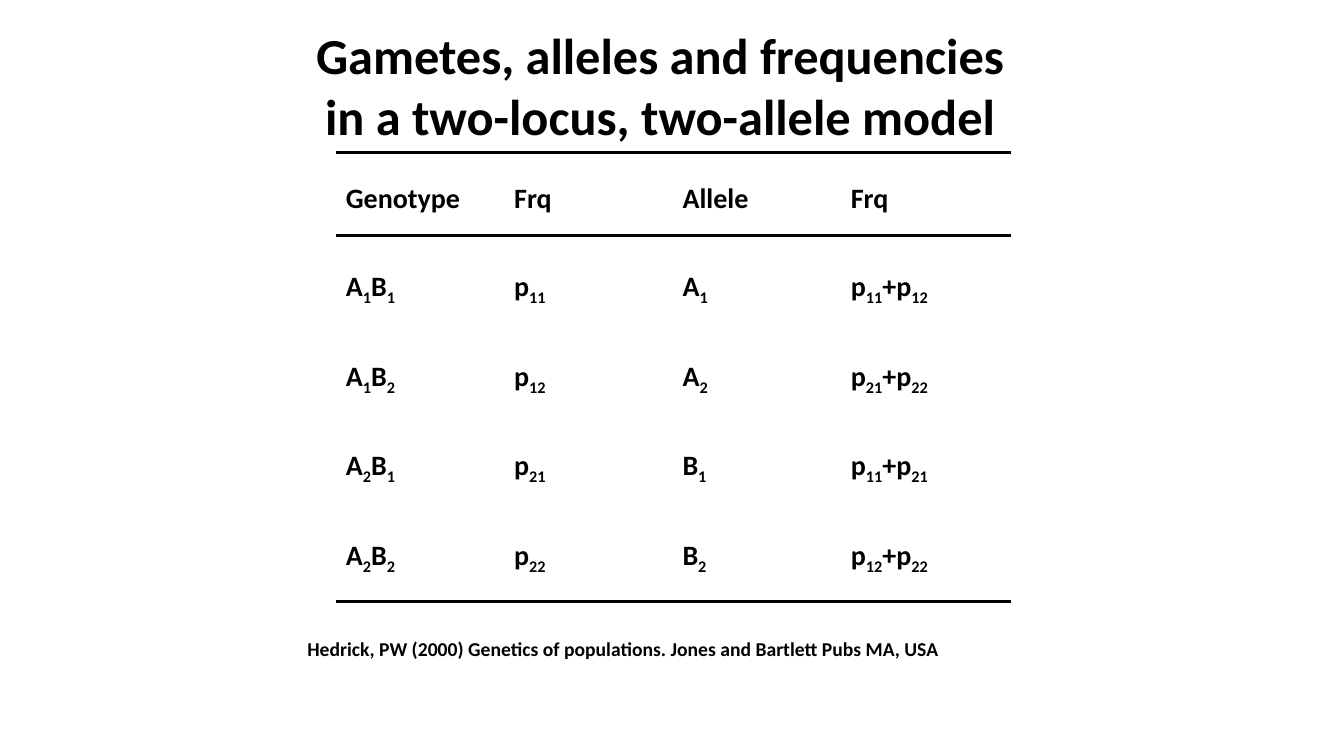
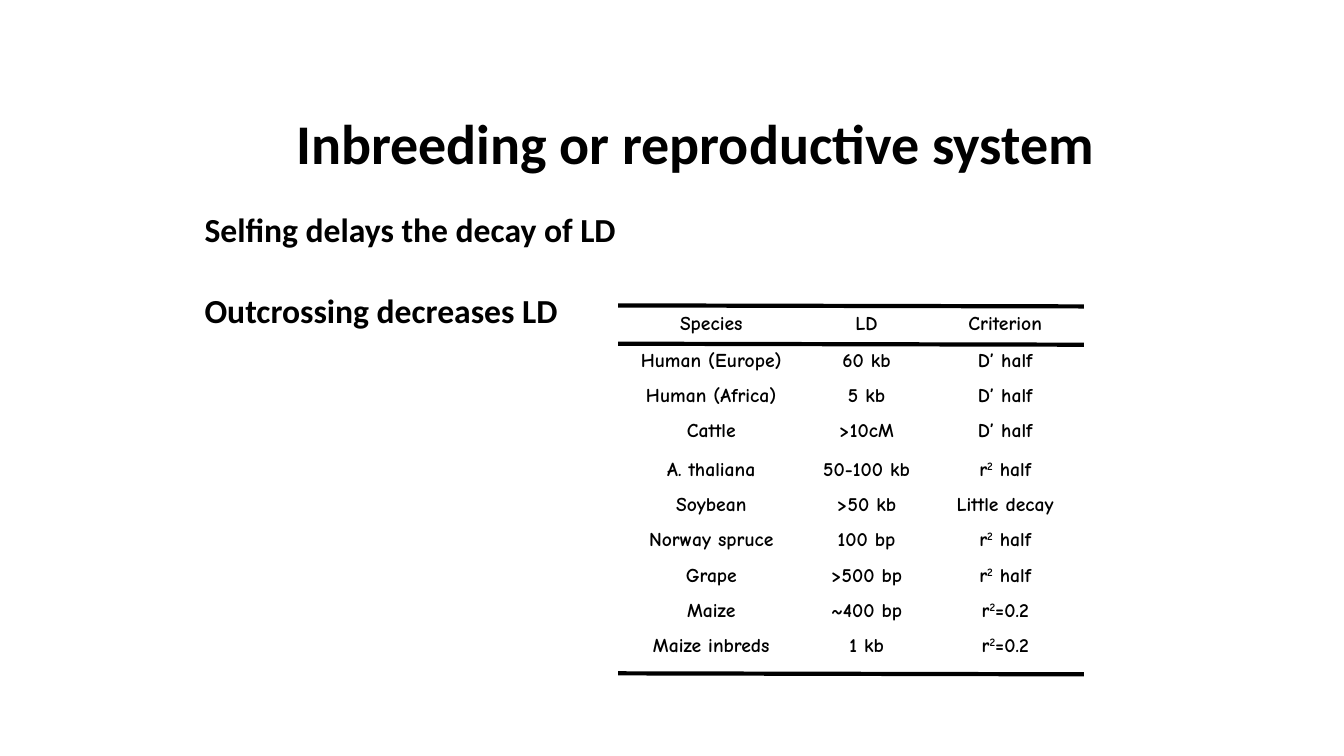
"""Build two slides on allele frequencies and linkage disequilibrium."""
from collections import namedtuple
from dataclasses import dataclass

from lxml import etree
from pptx import Presentation
from pptx.dml.color import RGBColor
from pptx.enum.shapes import MSO_CONNECTOR
from pptx.enum.text import MSO_ANCHOR, PP_ALIGN
from pptx.oxml.ns import qn
from pptx.util import Pt

LEFT, CENTER = PP_ALIGN.LEFT, PP_ALIGN.CENTER
TOP, MIDDLE = MSO_ANCHOR.TOP, MSO_ANCHOR.MIDDLE
STRAIGHT = MSO_CONNECTOR.STRAIGHT
PX = 9144


@dataclass(frozen=True)
class Theme:
    ink: RGBColor = RGBColor(0, 0, 0)
    font: str = "Calibri"
    table_font: str = "Comic Neue"
    title: int = 36
    big_title: int = 40
    body: int = 24
    cell: int = 20
    small: int = 14
    body_gap: int = 29


THEME = Theme()
Text = namedtuple("Text", "box size align lines gap")
Grid = namedtuple("Grid", "left top cols heights rows font size align anchor shift")
Rules = namedtuple("Rules", "left right tops drop weight")


def add_runs(p, text, size, font, align, shift=0):
    """Add bold runs, shifting every second part between bars."""
    p.alignment = align
    for i, part in enumerate(text.split("|")):
        if not part:
            continue
        r = p.add_run()
        r.text = part
        r.font.size, r.font.bold, r.font.name = Pt(size), True, font
        r.font.color.rgb = THEME.ink
        if i % 2:
            r._r.get_or_add_rPr().set("baseline", str(shift * 1000))


gametes = [
    ["Genotype", "Frq", "Allele", "Frq"],
    ["A|1|B|1", "p|11", "A|1", "p|11|+p|12"],
    ["A|1|B|2", "p|12", "A|2", "p|21|+p|22"],
    ["A|2|B|1", "p|21", "B|1", "p|11|+p|21"],
    ["A|2|B|2", "p|22", "B|2", "p|12|+p|22"],
]
decay = [
    ["Species", "LD", "Criterion"],
    ["Human (Europe)", "60 kb", "D’ half"],
    ["Human (Africa)", "5 kb", "D’ half"],
    ["Cattle", ">10cM", "D’ half"],
    ["A. thaliana", "50-100 kb", "r|2| half"],
    ["Soybean", ">50 kb", "Little decay"],
    ["Norway spruce", "100 bp", "r|2| half"],
    ["Grape", ">500 bp", "r|2| half"],
    ["Maize", "~400 bp", "r|2|=0.2"],
    ["Maize inbreds", "1 kb", "r|2|=0.2"],
]

slides = [
    (
        [
            Text((300, 19, 710, 131), THEME.title, CENTER,
                 ["Gametes, alleles and frequencies",
                  "in a two-locus, two-allele model"], 0),
            Text((295, 627, 652, 34), THEME.small, LEFT,
                 ["Hedrick, PW (2000) Genetics of populations. "
                  "Jones and Bartlett Pubs MA, USA"], 0),
        ],
        Grid(333, 153, [167] * 4, [89] * 5, gametes,
             THEME.font, THEME.cell, LEFT, MIDDLE, -25),
        Rules(333, 1003, [151, 234, 597], 0, 2),
    ),
    (
        [
            Text((284, 103, 821, 77), THEME.big_title, LEFT,
                 ["Inbreeding or reproductive system"], 0),
            Text((193, 202, 432, 182), THEME.body, LEFT,
                 ["Selfing delays the decay of LD",
                  "Outcrossing decreases LD"], THEME.body_gap),
        ],
        Grid(614, 305, [183, 125, 150], [37, 35, 35, 38] + [35] * 6, decay,
             THEME.table_font, THEME.small, CENTER, TOP, 30),
        Rules(613, 1075, [303, 341, 668], 1, 3),
    ),
]

prs = Presentation()
prs.slide_width, prs.slide_height = 1333 * PX, 750 * PX

for texts, grid, rules in slides:
    s = prs.slides.add_slide(prs.slide_layouts[6])

    for text in texts:
        sp = s.shapes.add_textbox(*(v * PX for v in text.box))
        tf = sp.text_frame
        tf.word_wrap = False
        for i, line in enumerate(text.lines):
            p = tf.add_paragraph() if i else tf.paragraphs[0]
            if i and text.gap:
                p.space_before = Pt(text.gap)
            add_runs(p, line, text.size, THEME.font, text.align)

    frame = s.shapes.add_table(
        len(grid.rows), len(grid.cols), grid.left * PX, grid.top * PX,
        sum(grid.cols) * PX, sum(grid.heights) * PX)
    table = frame.table
    table.first_row = table.horz_banding = False
    for col, width in zip(table.columns, grid.cols):
        col.width = width * PX
    for row, height, values in zip(table.rows, grid.heights, grid.rows):
        row.height = height * PX
        for cell, value in zip(row.cells, values):
            cell.fill.background()
            cell.vertical_anchor = grid.anchor
            add_runs(cell.text_frame.paragraphs[0], value,
                     grid.size, grid.font, grid.align, grid.shift)

    for top in rules.tops:
        rule = s.shapes.add_connector(
            STRAIGHT, rules.left * PX, top * PX,
            rules.right * PX, (top + rules.drop) * PX)
        rule.line.color.rgb = THEME.ink
        rule.line.width = Pt(rules.weight)
        etree.SubElement(rule._element.spPr, qn("a:effectLst"))

prs.save("out.pptx")
